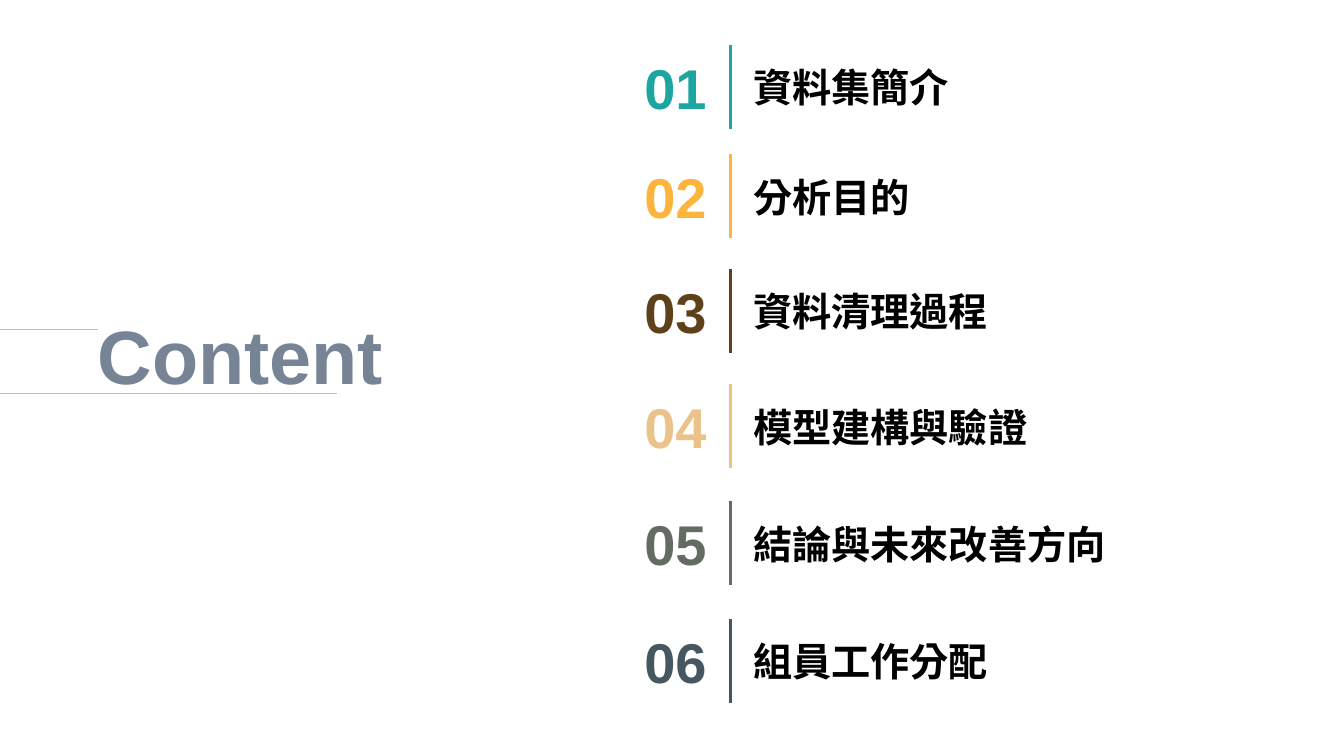
from pptx import Presentation
from pptx.dml.color import RGBColor
from pptx.enum.lang import MSO_LANGUAGE_ID
from pptx.enum.shapes import MSO_CONNECTOR
from pptx.enum.text import MSO_ANCHOR, MSO_AUTO_SIZE, PP_ALIGN
from pptx.oxml.ns import qn
from pptx.util import Pt
from lxml.etree import SubElement

# Colours
BLACK = RGBColor(0x00, 0x00, 0x00)
SLATE = RGBColor(0x77, 0x84, 0x95)
SILVER = RGBColor(0xBF, 0xBF, 0xBF)
TEAL = RGBColor(0x1D, 0xA5, 0xA1)
AMBER = RGBColor(0xFC, 0xB5, 0x3C)
BROWN = RGBColor(0x5E, 0x41, 0x1A)
SAND = RGBColor(0xEA, 0xC3, 0x8B)
MOSS = RGBColor(0x63, 0x6B, 0x62)
NAVY = RGBColor(0x46, 0x57, 0x61)

# Agenda: top of the bar in points, title, colour
ITEMS = [
    (32, "資料集簡介", TEAL),
    (110.3, "分析目的", AMBER),
    (192, "資料清理過程", BROWN),
    (274.2, "模型建構與驗證", SAND),
    (357.8, "結論與未來改善方向", MOSS),
    (442, "組員工作分配", NAVY),
]


def write(frame, text, size=28, color=BLACK, align=PP_ALIGN.LEFT,
          anchor=MSO_ANCHOR.MIDDLE, lang=MSO_LANGUAGE_ID.ENGLISH_US):
    """Fill a text frame with one bold, unwrapped line."""
    frame.word_wrap = False
    frame.auto_size = MSO_AUTO_SIZE.NONE
    frame.vertical_anchor = anchor
    line = frame.paragraphs[0]
    line.alignment = align
    run = line.add_run()
    run.text = text
    font = run.font
    font.name, font.size, font.bold = "Arial", Pt(size), True
    font.color.rgb = color
    font.language_id = lang


class Page:
    """Holds the current slide and draws its elements."""

    def __init__(self, deck):
        self.slide = deck.slides.add_slide(deck.slide_layouts[5])
        self.shapes = self.slide.shapes

    def title(self, text, x, y, w, h, **style):
        shape = self.shapes.title
        shape.left, shape.top = Pt(x), Pt(y)
        shape.width, shape.height = Pt(w), Pt(h)
        write(shape.text_frame, text, **style)

    def label(self, text, x, y, w, h, **style):
        box = self.shapes.add_textbox(Pt(x), Pt(y), Pt(w), Pt(h))
        write(box.text_frame, text, **style)

    def rule(self, x1, y1, x2, y2, color, width):
        line = self.shapes.add_connector(
            MSO_CONNECTOR.STRAIGHT, Pt(x1), Pt(y1), Pt(x2), Pt(y2))
        line.line.color.rgb = color
        line.line.width = Pt(width)
        SubElement(line._element.spPr, qn("a:effectLst"))

    def item(self, index, top, text, color):
        self.label(f"{index:02}", 454.5, top + 3.4, 56, 53.3, size=40,
                   color=color, align=PP_ALIGN.CENTER)
        self.rule(522, top, 522, top + 60, color, 2.25)
        self.label(text, 531, top + 10.4, 390, 40.3, anchor=MSO_ANCHOR.BOTTOM,
                   lang=MSO_LANGUAGE_ID.TRADITIONAL_CHINESE)


def main():
    deck = Presentation()
    deck.slide_width, deck.slide_height = Pt(960), Pt(540)
    page = Page(deck)

    # Heading between two thin rules
    page.rule(0, 235.3, 70, 235.3, SILVER, 0.5)
    page.rule(0, 281, 240.5, 281, SILVER, 0.5)
    page.title("Content", 62.6, 220.3, 230, 65, size=54, color=SLATE)

    # Numbered agenda
    for index, (top, text, color) in enumerate(ITEMS, 1):
        page.item(index, top, text, color)

    deck.save("out.pptx")


if __name__ == "__main__":
    main()
